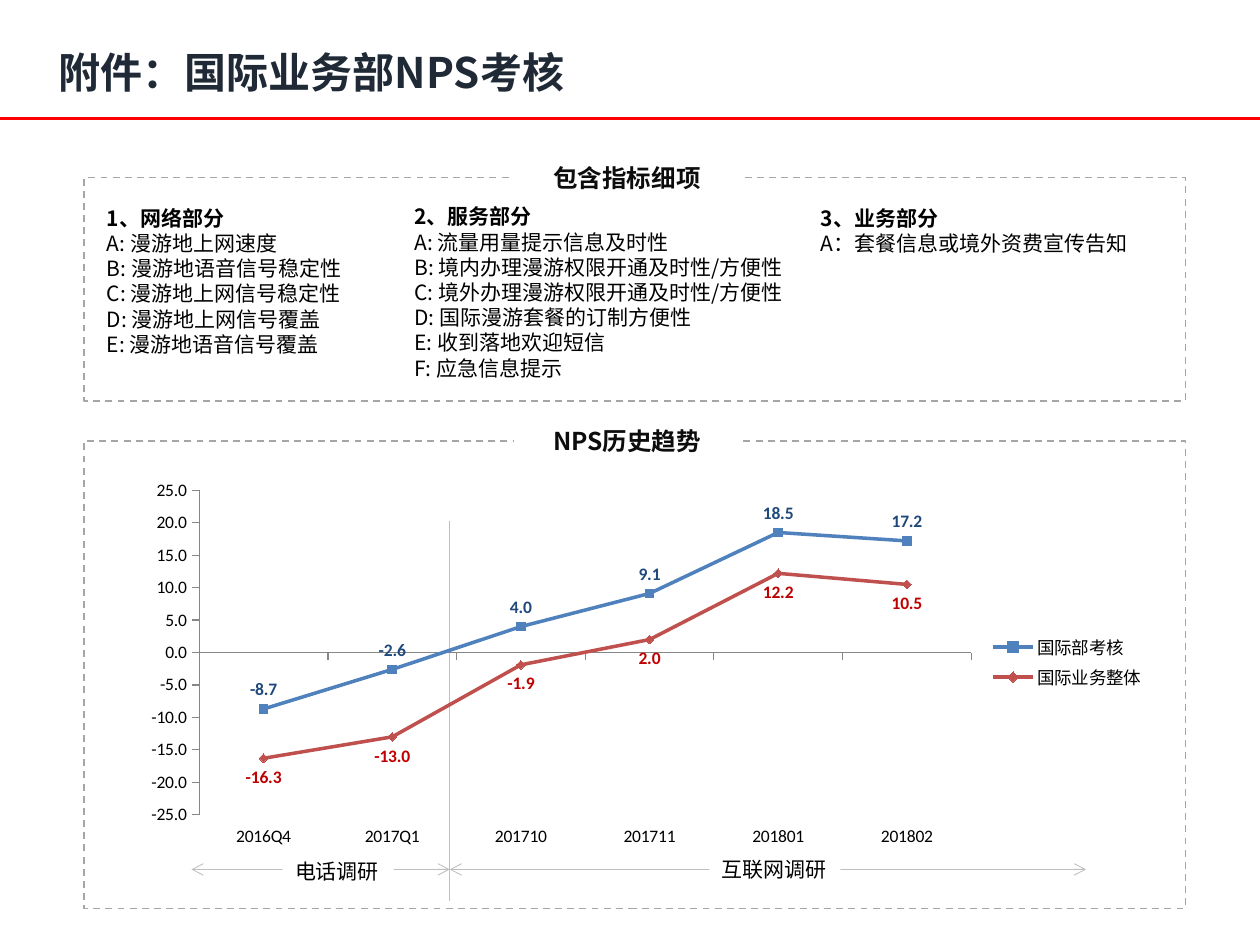
from lxml.etree import SubElement
from pptx import Presentation
from pptx.chart.data import CategoryChartData
from pptx.dml.color import RGBColor
from pptx.enum.chart import XL_CHART_TYPE, XL_LABEL_POSITION, XL_LEGEND_POSITION, XL_MARKER_STYLE, XL_TICK_LABEL_POSITION, XL_TICK_MARK
from pptx.enum.dml import MSO_LINE
from pptx.enum.shapes import MSO_CONNECTOR, MSO_SHAPE
from pptx.enum.text import MSO_ANCHOR, PP_ALIGN
from pptx.oxml import parse_xml
from pptx.oxml.ns import nsdecls, qn
from pptx.util import Pt

COLORS = {
    "white": "FFFFFF", "black": "000000", "title": "202A36", "heading": "0D0D0D",
    "rule": "FF0000", "border": "A6A6A6", "arrow": "BFBFBF", "axis": "868686",
    "blue": "4F81BD", "red": "C0504D", "blue_label": "1F497D", "red_label": "C00000",
}
FONT = "Noto Sans CJK SC"

presentation = Presentation()
presentation.slide_width, presentation.slide_height = Pt(720), Pt(540)
slide = presentation.slides.add_slide(presentation.slide_layouts[6])


def color(name):
    return RGBColor.from_string(COLORS[name])


def add_text(text, left, top, width, height, size=12, font_color="black", bold=False,
             bold_first=False, fill=None, wrap=True, align=PP_ALIGN.LEFT, anchor=MSO_ANCHOR.TOP):
    shape = slide.shapes.add_textbox(Pt(left), Pt(top), Pt(width), Pt(height))
    if fill:
        shape.fill.solid()
        shape.fill.fore_color.rgb = color(fill)
    frame = shape.text_frame
    frame.word_wrap = wrap
    frame.vertical_anchor = anchor
    frame.text = text
    for index, paragraph in enumerate(frame.paragraphs):
        paragraph.alignment = align
        run = paragraph.runs[0]
        run.font.size = Pt(size)
        run.font.bold = bold or (bold_first and index == 0)
        run.font.color.rgb = color(font_color)
        run.font.name = FONT
        SubElement(run.font._element, qn("a:ea"), typeface=FONT)


def add_line(left, top, right, bottom, line_color, width, arrows=False):
    connector = slide.shapes.add_connector(MSO_CONNECTOR.STRAIGHT, Pt(left), Pt(top), Pt(right), Pt(bottom))
    connector.line.color.rgb = color(line_color)
    connector.line.width = Pt(width)
    if arrows:
        for end in ("a:headEnd", "a:tailEnd"):
            SubElement(connector.line._get_or_add_ln(), qn(end), type="arrow")
    SubElement(connector._element.spPr, qn("a:effectLst"))


add_line(0, 67.7, 720, 67.7, "rule", 1.75)
add_text("附件：国际业务部NPS考核", 26.6, 20.9, 496, 40.3, size=24, font_color="title",
         bold=True, anchor=MSO_ANCHOR.MIDDLE)

for heading, top, height in [("包含指标细项", 101.5, 127.5), ("NPS历史趋势", 252, 267.1)]:
    panel = slide.shapes.add_shape(MSO_SHAPE.RECTANGLE, Pt(48.2), Pt(top), Pt(629.3), Pt(height))
    panel.shadow.inherit = False
    panel.fill.solid()
    panel.fill.fore_color.rgb = color("white")
    panel.line.color.rgb = color("border")
    panel.line.width = Pt(1)
    panel.line.dash_style = MSO_LINE.DASH
    add_text(heading, 293.8, top - 12, 129, 24.2, size=14, font_color="heading", bold=True,
             fill="white", align=PP_ALIGN.CENTER)

indicator_columns = [
    (54, 113.8, 94.3, ["1、网络部分", "A: 漫游地上网速度", "B: 漫游地语音信号稳定性",
                       "C: 漫游地上网信号稳定性", "D: 漫游地上网信号覆盖", "E: 漫游地语音信号覆盖"]),
    (229.7, 113, 108.7, ["2、服务部分", "A: 流量用量提示信息及时性", "B: 境内办理漫游权限开通及时性/方便性",
                         "C: 境外办理漫游权限开通及时性/方便性", "D: 国际漫游套餐的订制方便性",
                         "E: 收到落地欢迎短信", "F: 应急信息提示"]),
    (462, 113.8, 36, ["3、业务部分", "A：套餐信息或境外资费宣传告知"]),
]
for left, top, height, lines in indicator_columns:
    add_text("\n".join(lines), left, top, 272.2, height, bold_first=True)

add_line(257, 298, 257, 514.8, "arrow", 0.5)
surveys = [("电话调研", 109.4, 257, 161.5, 487.2, 63.4), ("互联网调研", 257, 620.6, 405.4, 486, 74.9)]
for label, start, end, left, top, width in surveys:
    add_line(start, 496.8, end, 496.8, "arrow", 0.5, arrows=True)
    add_text(label, left, top, width, 21.6, fill="white", wrap=False)

chart_data = CategoryChartData(number_format="0.0")
chart_data.categories = ["2016Q4", "2017Q1", "201710", "201711", "201801", "201802"]
chart_data.add_series("国际部考核", [-8.7, -2.6, 4.0, 9.1, 18.5, 17.2])
chart_data.add_series("国际业务整体", [-16.3, -13.0, -1.9, 2.0, 12.2, 10.5])
chart = slide.shapes.add_chart(XL_CHART_TYPE.LINE_MARKERS, Pt(72.7), Pt(269.3), Pt(588.2), Pt(218.2),
                               chart_data).chart
chart.has_title = False
chart.font.size = Pt(10)
chart.font.name = "Calibri"
chart.font.color.rgb = color("black")
chart.has_legend = True
chart.legend.position = XL_LEGEND_POSITION.RIGHT
chart.legend.include_in_layout = False

for axis in (chart.category_axis, chart.value_axis):
    axis.has_major_gridlines = False
    axis.major_tick_mark = XL_TICK_MARK.OUTSIDE
    axis.minor_tick_mark = XL_TICK_MARK.NONE
    axis.format.line.color.rgb = color("axis")
    axis.format.line.width = Pt(0.75)
chart.category_axis.tick_label_position = XL_TICK_LABEL_POSITION.LOW
chart.value_axis.minimum_scale = -25
chart.value_axis.maximum_scale = 25
chart.value_axis.major_unit = 5
chart.value_axis.tick_labels.number_format = "0.0"
chart.value_axis.tick_labels.number_format_is_linked = False

series_styles = [
    ("blue", "blue_label", XL_MARKER_STYLE.SQUARE, XL_LABEL_POSITION.ABOVE),
    ("red", "red_label", XL_MARKER_STYLE.DIAMOND, XL_LABEL_POSITION.BELOW),
]
plot = chart.plots[0]
plot.vary_by_categories = False
for series, (line_color, label_color, marker_style, position) in zip(plot.series, series_styles):
    series.smooth = False
    series.format.line.color.rgb = color(line_color)
    series.format.line.width = Pt(2)
    series.marker.style = marker_style
    series.marker.size = 5
    series.marker.format.fill.solid()
    series.marker.format.fill.fore_color.rgb = color(line_color)
    series.marker.format.line.color.rgb = color(line_color)
    labels = series.data_labels
    labels.show_value = True
    labels.position = position
    labels.number_format = "0.0"
    labels.number_format_is_linked = False
    labels.font.size = Pt(10)
    labels.font.bold = True
    labels.font.color.rgb = color(label_color)

plot_area = chart._chartSpace.chart.plotArea
for layout in plot_area.findall(qn("c:layout")):
    plot_area.remove(layout)
plot_area.insert(0, parse_xml(
    f'<c:layout {nsdecls("c")}><c:manualLayout><c:layoutTarget val="inner"/>'
    '<c:xMode val="edge"/><c:yMode val="edge"/><c:x val="0.07"/><c:y val="0.05"/>'
    '<c:w val="0.75"/><c:h val="0.85"/></c:manualLayout></c:layout>'))

presentation.save("out.pptx")
